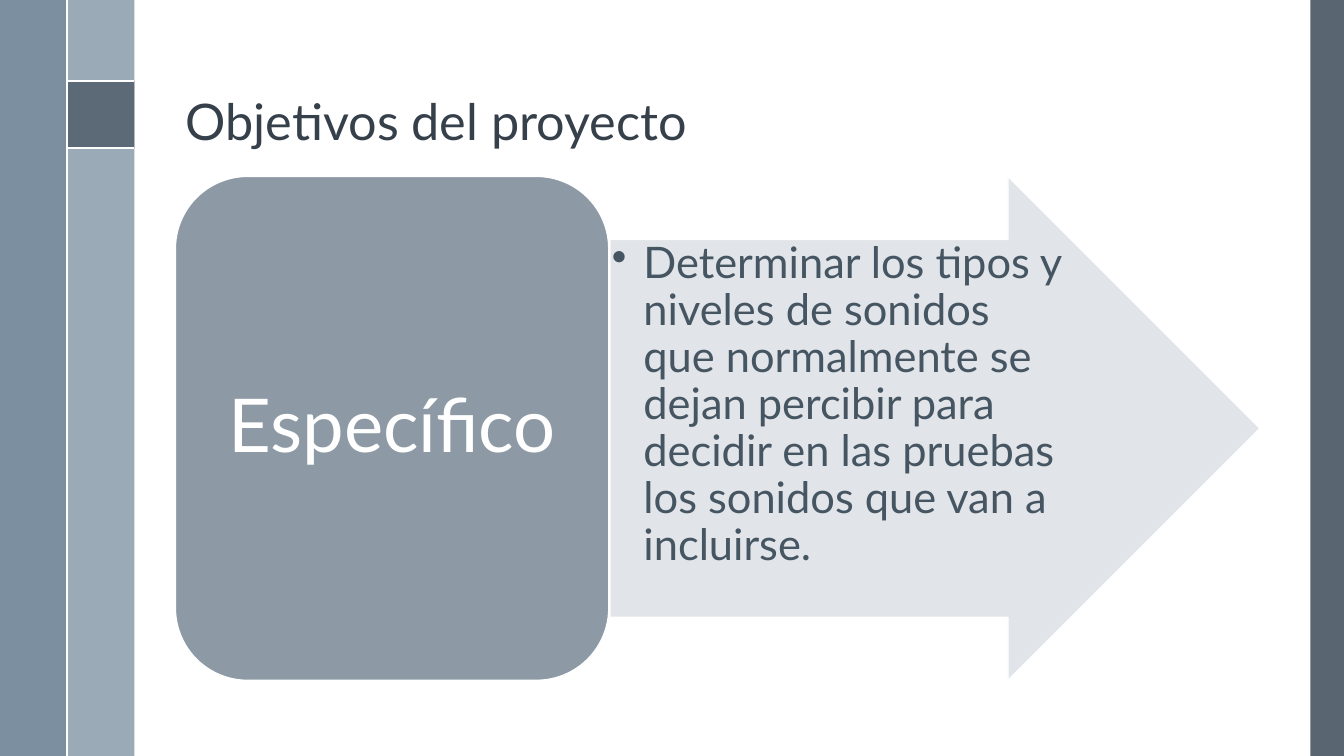
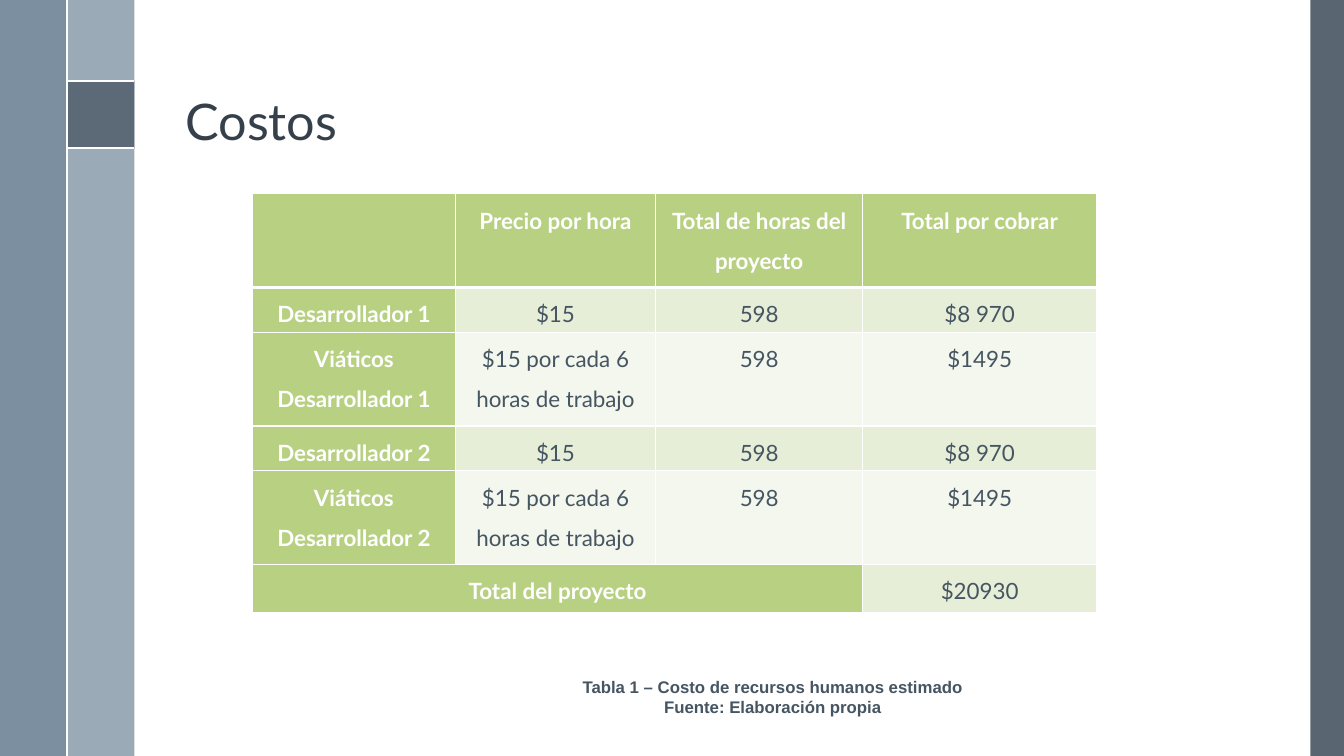
from lxml.etree import SubElement
from pptx import Presentation
from pptx.dml.color import RGBColor
from pptx.enum.shapes import MSO_CONNECTOR, MSO_SHAPE
from pptx.enum.text import MSO_ANCHOR, MSO_AUTO_SIZE, PP_ALIGN
from pptx.oxml.ns import qn
from pptx.util import Pt

HUES = {
    "white": "FFFFFF", "slate": "475562", "steel": "6A8093", "mist": "9BAAB7",
    "title": "35404A", "text": "465562", "card": "8D9AA6", "arrow": "DEE2E6",
    "head": "B8D082", "dark": "E6EED8", "light": "F3F7ED",
}
WIDE, HIGH = 960, 540
RAIL = 48
MARK = 58
LEFT = 125.3
TOP = 126

HEADS = ["", "Precio por hora", "Total de horas del proyecto", "Total por cobrar"]
WAGE = ["$15", "598", "$8 970"]
TRAVEL = ["$15 por cada 6 horas de trabajo", "598", "$1495"]
COSTS = [
    HEADS,
    ["Desarrollador 1", *WAGE],
    ["Viáticos Desarrollador 1", *TRAVEL],
    ["Desarrollador 2", *WAGE],
    ["Viáticos Desarrollador 2", *TRAVEL],
    ["Total del proyecto", "", "", "$20930"],
]


def tint(name):
    return RGBColor.from_string(HUES[name])


def apply(target, **values):
    for name, value in values.items():
        setattr(target, name, value)


class Deck:
    def __init__(self):
        self.show = Presentation()
        apply(self.show, slide_width=Pt(WIDE), slide_height=Pt(HIGH))
        self.base = self.show.slide_layouts[5]
        for holder in list(self.base.placeholders)[1:]:
            holder.element.getparent().remove(holder.element)
        self.slide = None

    def add(self, title):
        first = self.slide is None
        self.slide = self.show.slides.add_slide(self.base)
        if first:
            self.frame()
        holder = self.slide.shapes.title
        apply(holder, left=Pt(LEFT), top=Pt(13.7), width=Pt(770.4), height=Pt(97.9))
        apply(holder.text_frame, vertical_anchor=MSO_ANCHOR.BOTTOM,
              auto_size=MSO_AUTO_SIZE.NONE)
        self.words(holder.text_frame, title, 36, "title", align=PP_ALIGN.LEFT, gap=0.9)

    def frame(self):
        """Draw the side bands once and move them to the layout."""
        end = RAIL * 2
        bands = [
            self.shape(MSO_SHAPE.RECTANGLE, (WIDE - 24, 0, 24, HIGH), "slate", 90),
            self.shape(MSO_SHAPE.RECTANGLE, (RAIL, 0, RAIL, HIGH), "mist"),
            self.shape(MSO_SHAPE.RECTANGLE, (0, 0, RAIL, HIGH), "steel", 88),
            self.shape(MSO_SHAPE.RECTANGLE, (RAIL, MARK, RAIL, RAIL), "slate", 75),
            self.line(RAIL, MARK, end, MARK),
            self.line(RAIL, MARK + RAIL, end, MARK + RAIL),
            self.line(RAIL, 0, RAIL, HIGH),
        ]
        tree = self.base.shapes.element
        for number, band in enumerate(bands, 20):
            band.element.xpath(".//p:cNvPr")[0].set("id", str(number))
            tree.append(band.element)

    def shape(self, kind, box, fill, alpha=100, edge=None):
        item = self.slide.shapes.add_shape(kind, *map(Pt, box))
        item.shadow.inherit = False
        item.fill.solid()
        item.fill.fore_color.rgb = tint(fill)
        if alpha < 100:
            hue = item.element.spPr.find(f"{qn('a:solidFill')}/{qn('a:srgbClr')}")
            SubElement(hue, qn("a:alpha"), val=str(alpha * 1000))
        if edge:
            item.line.color.rgb = tint(edge)
            item.line.width = Pt(1)
        else:
            item.line.fill.background()
        return item

    def line(self, *ends):
        item = self.slide.shapes.add_connector(MSO_CONNECTOR.STRAIGHT, *map(Pt, ends))
        item.line.color.rgb = tint("white")
        item.line.width = Pt(1.5)
        SubElement(item.element.spPr, qn("a:effectLst"))
        return item

    def words(self, frame, text, size, hue, bold=False, face="Lato",
              align=PP_ALIGN.CENTER, gap=1.0, bullet=0):
        """Fill a frame, one paragraph a line; bullet is the hanging indent."""
        frame.text = text
        for para in frame.paragraphs:
            apply(para, alignment=align, line_spacing=gap)
            if bullet:
                props = para._p.get_or_add_pPr()
                props.set("marL", str(Pt(bullet)))
                props.set("indent", str(-Pt(bullet)))
                SubElement(props, qn("a:buChar"), char="•")
            for run in para.runs:
                apply(run.font, size=Pt(size), name=face, bold=bold)
                run.font.color.rgb = tint(hue)

    def inset(self, frame, side, end):
        apply(frame, margin_left=Pt(side), margin_right=Pt(side),
              margin_top=Pt(end), margin_bottom=Pt(end))

    def label(self, box, text, size):
        frame = self.slide.shapes.add_textbox(*map(Pt, box)).text_frame
        apply(frame, word_wrap=True, vertical_anchor=MSO_ANCHOR.MIDDLE)
        self.words(frame, text, size, "text", bold=True, face="Arial")

    def border(self, cell, **widths):
        props = cell._tc.get_or_add_tcPr()
        for side in "LRTB":
            edge = SubElement(props, qn(f"a:ln{side}"), w=str(Pt(widths.get(side, 1))))
            fill = SubElement(edge, qn("a:solidFill"))
            SubElement(fill, qn("a:srgbClr"), val=HUES["white"])

    def table(self, spot, cols, rows, data):
        box = (*spot, sum(cols), sum(rows))
        grid = self.slide.shapes.add_table(len(rows), len(cols), *map(Pt, box)).table
        apply(grid, first_row=False, horz_banding=False)
        for col, width in zip(grid.columns, cols):
            col.width = Pt(width)
        for row, height in zip(grid.rows, rows):
            row.height = Pt(height)
        for r, texts in enumerate(data):
            for c, text in enumerate(texts):
                cell = grid.cell(r, c)
                self.inset(cell, 5, 0)
                self.border(cell, **{"B": 3} if r == 0 else {"T": 3} if r == 1 else {})
                head = r == 0 or c == 0
                cell.fill.solid()
                cell.fill.fore_color.rgb = tint(
                    "head" if head else "dark" if r % 2 else "light")
                self.words(cell.text_frame, text, 16, "white" if head else "text",
                           bold=head, gap=1.5)
        return grid


def goals(deck):
    deck.add("Objetivos del proyecto")
    wide, high = 309.6, 360
    arrow = deck.shape(MSO_SHAPE.RIGHT_ARROW, (LEFT + wide + 0.7, TOP, 464.4, high),
                       "arrow", 90, "white")
    arrow.adjustments[0] = 0.75
    arrow.text_frame.vertical_anchor = MSO_ANCHOR.TOP
    deck.inset(arrow.text_frame, 1.5, 1.5)
    deck.words(arrow.text_frame,
               "Determinar los tipos y niveles de sonidos que normalmente se dejan "
               "percibir para decidir en las pruebas los sonidos que van a incluirse.",
               31, "text", align=PP_ALIGN.LEFT, gap=0.9, bullet=22.5)
    card = deck.shape(MSO_SHAPE.ROUNDED_RECTANGLE, (LEFT, TOP, wide, high),
                      "card", edge="white")
    deck.inset(card.text_frame, 16, 8)
    deck.words(card.text_frame, "Específico", 53, "white", gap=0.9)


def costs(deck):
    deck.add("Costos")
    grid = deck.table((180.3, 138.4), [145, 143, 148, 167],
                      [67, 32, 67, 32, 67, 34], COSTS)
    grid.cell(5, 0).merge(grid.cell(5, 2))
    deck.label((392, 480, 320, 36),
               "Tabla 1 – Costo de recursos humanos estimado\nFuente: Elaboración propia",
               12)


def main():
    deck = Deck()
    goals(deck)
    costs(deck)
    deck.show.save("out.pptx")


if __name__ == "__main__":
    main()
